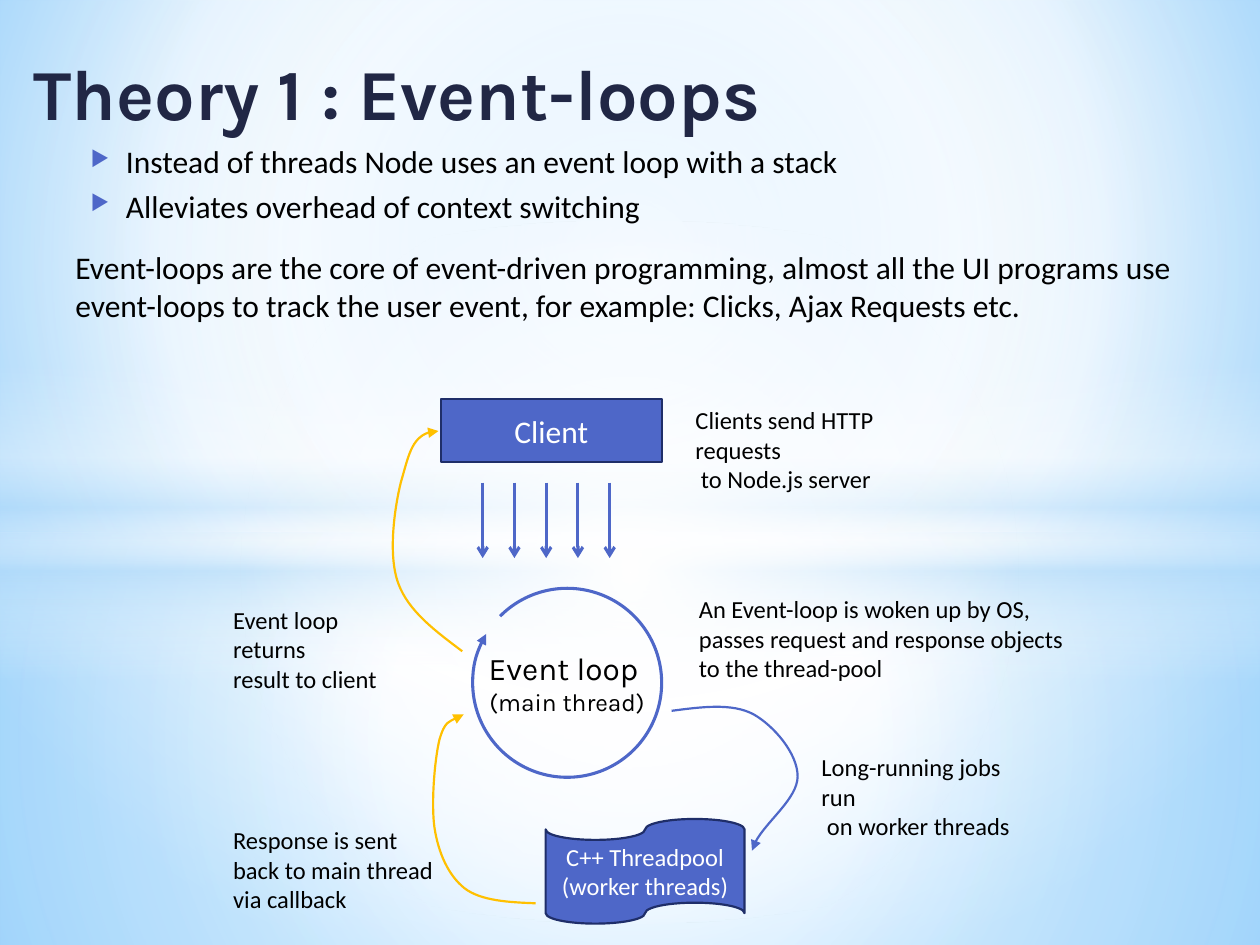
from dataclasses import dataclass

from pptx import Presentation
from pptx.dml.color import RGBColor
from pptx.enum.shapes import MSO_CONNECTOR as Connector
from pptx.enum.shapes import MSO_SHAPE as Shape
from pptx.enum.text import MSO_ANCHOR as Anchor
from pptx.enum.text import PP_ALIGN as Align
from pptx.oxml import parse_xml
from pptx.oxml.ns import nsdecls, qn
from pptx.util import Cm, Pt


@dataclass(frozen=True)
class Theme:
    accent: str = "4E67C8"
    accent_dark: str = "1F2E69"
    callback: str = "FFC000"
    heading: str = "212745"
    ink: str = "000000"
    light: str = "FFFFFF"
    haze: str = "B4DCFA"
    sky: str = "9ED5FF"
    deep_sky: str = "5BB9FF"
    heading_font: str = "Karla"
    body_font: str = "Calibri"
    title_size: int = 41
    body_size: int = 18
    note_size: int = 14
    thick: float = 1.75
    thin: float = 1.25


def drawing_element(tag, inner="", attributes=""):
    return parse_xml(f"<a:{tag} {nsdecls('a')} {attributes}>{inner}</a:{tag}>")


def apply_format(target, values):
    for name, value in values.items():
        setattr(target, name, value)


class SlideBuilder:
    def __init__(self, presentation, theme):
        self.theme = theme
        self.slide = presentation.slides.add_slide(presentation.slide_layouts[6])
        self.shapes = self.slide.shapes

    def gradient(self, solid_fill, stops, focus=None):
        stop_list = "".join(
            f'<a:gs pos="{position * 1000}"><a:srgbClr val="{color}">'
            f'<a:alpha val="{opacity * 1000}"/></a:srgbClr></a:gs>'
            for position, color, opacity in stops
        )
        direction = '<a:lin ang="5400000" scaled="0"/>'
        if focus:
            sides = " ".join(f'{side}="{inset * 1000}"' for side, inset in zip("ltrb", focus))
            direction = f'<a:path path="circle"><a:fillToRect {sides}/></a:path>'
        fill = drawing_element("gradFill", f"<a:gsLst>{stop_list}</a:gsLst>{direction}", 'rotWithShape="1"')
        solid_fill.getparent().replace(solid_fill, fill)

    def background(self, stops, focus):
        self.slide.background.fill.solid()
        self.slide.background.fill.fore_color.rgb = RGBColor.from_string(self.theme.light)
        self.gradient(self.slide.element.xpath("./p:cSld/p:bg//a:solidFill")[0], stops, focus)

    def glow(self, kind, box, stops, focus=None):
        shape = self.shape(kind, box, fill=self.theme.light)
        self.gradient(shape.element.spPr.find(qn("a:solidFill")), stops, focus)

    def outline(self, shape, color, width, head=None):
        shape.line.color.rgb = RGBColor.from_string(color)
        shape.line.width = Pt(width)
        if head:
            line = shape.element.spPr.find(qn("a:ln"))
            line.append(drawing_element("tailEnd", attributes=f'type="{head}"'))

    def shape(self, kind, box, fill=None, line=None, head=None):
        shape = self.shapes.add_shape(kind, *map(Cm, box))
        shape.shadow.inherit = False
        if fill:
            shape.fill.solid()
            shape.fill.fore_color.rgb = RGBColor.from_string(fill)
        else:
            shape.fill.background()
        if line:
            self.outline(shape, *line, head)
        else:
            shape.line.fill.background()
        return shape

    def label(self, shape, lines, sizes, color=None, font=None, bold=False,
              anchor=Anchor.TOP, align=Align.LEFT, bullet=False):
        frame = shape.text_frame
        apply_format(frame, {"word_wrap": True, "vertical_anchor": anchor})
        for index, (line, size) in enumerate(zip(lines, sizes)):
            paragraph = frame.paragraphs[0] if index == 0 else frame.add_paragraph()
            paragraph.alignment = align
            run = paragraph.add_run()
            run.text = line
            apply_format(run.font, {"name": font or self.theme.body_font, "size": Pt(size), "bold": bold})
            run.font.color.rgb = RGBColor.from_string(color or self.theme.ink)
            if bullet:
                self.bullet(paragraph)

    def bullet(self, paragraph):
        paragraph.space_before = Pt(4)
        properties = paragraph._p.get_or_add_pPr()
        properties.set("marL", str(Cm(1.02)))
        properties.set("indent", str(Cm(-0.71)))
        properties.append(drawing_element("buClr", f'<a:srgbClr val="{self.theme.accent}"/>'))
        properties.append(drawing_element("buSzPct", attributes='val="68000"'))
        properties.append(drawing_element("buChar", attributes='char="▶"'))

    def text(self, box, lines, size, **style):
        self.label(self.shapes.add_textbox(*map(Cm, box)), lines, [size] * len(lines), **style)

    def node(self, kind, box, lines, size):
        theme = self.theme
        shape = self.shape(kind, box, theme.accent, (theme.accent_dark, theme.thin))
        self.label(shape, lines, [size] * len(lines), theme.light,
                   anchor=Anchor.MIDDLE, align=Align.CENTER)

    def loop(self, box, lines, sizes):
        theme = self.theme
        shape = self.shape(Shape.ARC, box, line=(theme.accent, theme.thick), head="triangle")
        shape.adjustments[0], shape.adjustments[1] = 134.87, 126.67
        self.label(shape, lines, sizes, font=theme.heading_font,
                   anchor=Anchor.MIDDLE, align=Align.CENTER)

    def arrow(self, x, top, bottom):
        connector = self.shapes.add_connector(Connector.STRAIGHT, Cm(x), Cm(top), Cm(x), Cm(bottom))
        self.outline(connector, self.theme.accent, self.theme.thick, "arrow")
        connector.element.spPr.append(drawing_element("effectLst"))

    def curve(self, points, color):
        start, *rest = [(Cm(x), Cm(y)) for x, y in points]
        builder = self.shapes.build_freeform(*start)
        builder.add_line_segments(rest, close=False)
        shape = builder.convert_to_shape()
        shape.shadow.inherit = False
        shape.fill.background()
        self.outline(shape, color, self.theme.thin, "triangle")
        segments = shape.element.xpath(".//a:lnTo")
        for first in range(0, len(segments), 3):
            bezier = drawing_element("cubicBezTo")
            segments[first].addprevious(bezier)
            for segment in segments[first:first + 3]:
                bezier.append(segment[0])
                segment.getparent().remove(segment)


def draw_backdrop(builder, theme):
    white, haze = theme.light, theme.haze
    center = (50, 50, 50, 50)
    builder.background([(0, theme.sky, 100), (60, white, 100), (100, theme.deep_sky, 100)], (20, 10, 20, 60))
    builder.glow(Shape.RECTANGLE, (0, 10.74, 25.4, 8.31), [(0, white, 91), (37, white, 76), (100, haze, 79)], center)
    builder.glow(Shape.RECTANGLE, (0, 0, 25.4, 10.74), [(0, white, 89), (48, white, 62), (100, haze, 79)], center)
    builder.glow(Shape.RECTANGLE, (0, 7.37, 25.4, 6.35),
                 [(0, white, 0), (29, white, 30), (45, haze, 40), (55, white, 26), (65, haze, 60), (100, white, 0)])
    builder.glow(Shape.OVAL, (0, 4.45, 25.4, 14.17), [(0, white, 100), (54, white, 0)], center)


def draw_text(builder, theme):
    builder.text((0.43, 0.51, 22.86, 2.67), ["Theory 1 : Event-loops"], theme.title_size,
                 color=theme.heading, font=theme.heading_font, bold=True, anchor=Anchor.MIDDLE)
    builder.text((1.27, 2.74, 22.86, 3.12),
                 ["Instead of threads Node uses an event loop with a stack",
                  "Alleviates overhead of context switching"], theme.body_size, bullet=True)
    builder.text((1.27, 4.88, 22.86, 12.14),
                 ["Event-loops are the core of event-driven programming, almost all the UI programs use "
                  "event-loops to track the user event, for example: Clicks, Ajax Requests etc."], theme.body_size)


def draw_diagram(builder, theme):
    builder.node(Shape.RECTANGLE, (8.89, 8.05, 4.45, 1.27), ["Client"], theme.body_size)
    for index in range(5):
        builder.arrow(9.73 + 0.64 * index, 9.73, 11.25)
    builder.loop((9.53, 11.86, 3.81, 3.81), ["Event loop ", "(main thread)"], (theme.body_size, theme.note_size))
    builder.node(Shape.FLOWCHART_PUNCHED_TAPE, (11, 16.51, 4.01, 2.11),
                 ["C++ Threadpool", "(worker threads)"], theme.note_size)
    threadpool_to_loop = [(10.8, 18.21), (10.26, 18.19), (9.7, 18.16), (9.37, 17.91), (9.04, 17.65),
                          (8.84, 17.2), (8.76, 16.69), (8.69, 16.21), (8.76, 15.32), (8.86, 14.91),
                          (8.97, 14.53), (9.25, 14.45), (9.35, 14.4)]
    loop_to_client = [(9.32, 13.13), (8.79, 12.73), (8.23, 12.32), (8.03, 11.76), (7.82, 11.2),
                      (7.95, 10.26), (8.08, 9.73), (8.23, 9.22), (8.31, 8.69), (8.84, 8.69)]
    loop_to_threadpool = [(13.54, 14.33), (14.15, 14.25), (14.76, 14.17), (15.19, 14.4), (15.6, 14.63),
                          (16.08, 15.19), (16.08, 15.65), (16.08, 16.1), (15.27, 16.69), (15.16, 17.15)]
    builder.curve(threadpool_to_loop, theme.callback)
    builder.curve(loop_to_client, theme.callback)
    builder.curve(loop_to_threadpool, theme.accent)
    notes = [
        ((13.77, 8.05, 5.74, 1.45), ["Clients send HTTP requests", " to Node.js server"]),
        ((13.84, 11.86, 7.95, 2.06), ["An Event-loop is woken up by OS,",
                                      "passes request and response objects", "to the thread-pool"]),
        ((16.31, 15.04, 4.72, 1.45), ["Long-running jobs run", " on worker threads"]),
        ((4.45, 16.51, 4.6, 2.06), ["Response is sent", "back to main thread", "via callback"]),
        ((4.45, 12.07, 4.04, 1.45), ["Event loop returns", "result to client"]),
    ]
    for box, lines in notes:
        builder.text(box, lines, theme.note_size)


def main():
    presentation = Presentation()
    apply_format(presentation, {"slide_width": Cm(25.4), "slide_height": Cm(19.05)})
    theme = Theme()
    builder = SlideBuilder(presentation, theme)
    draw_backdrop(builder, theme)
    draw_text(builder, theme)
    draw_diagram(builder, theme)
    presentation.save("out.pptx")


if __name__ == "__main__":
    main()
